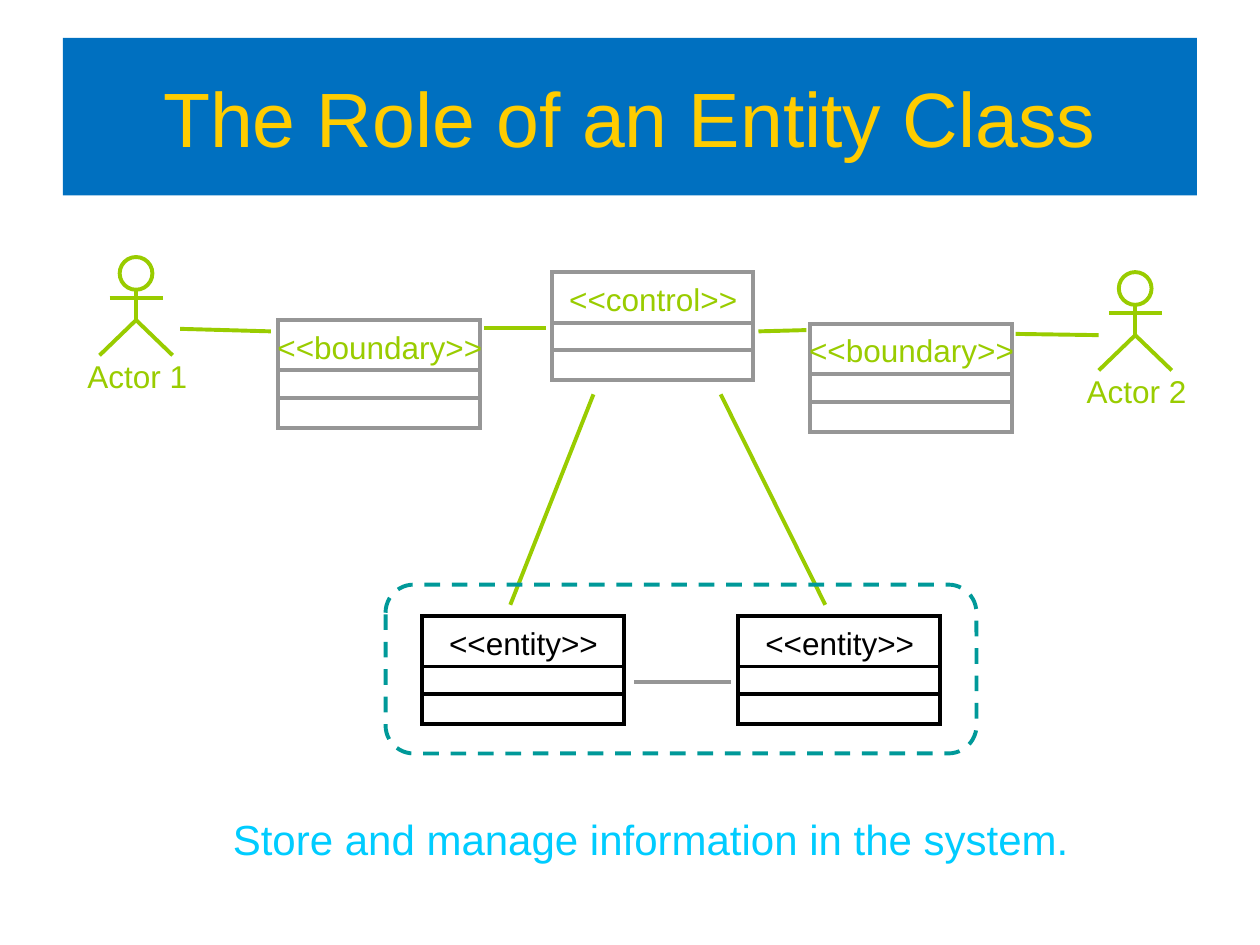
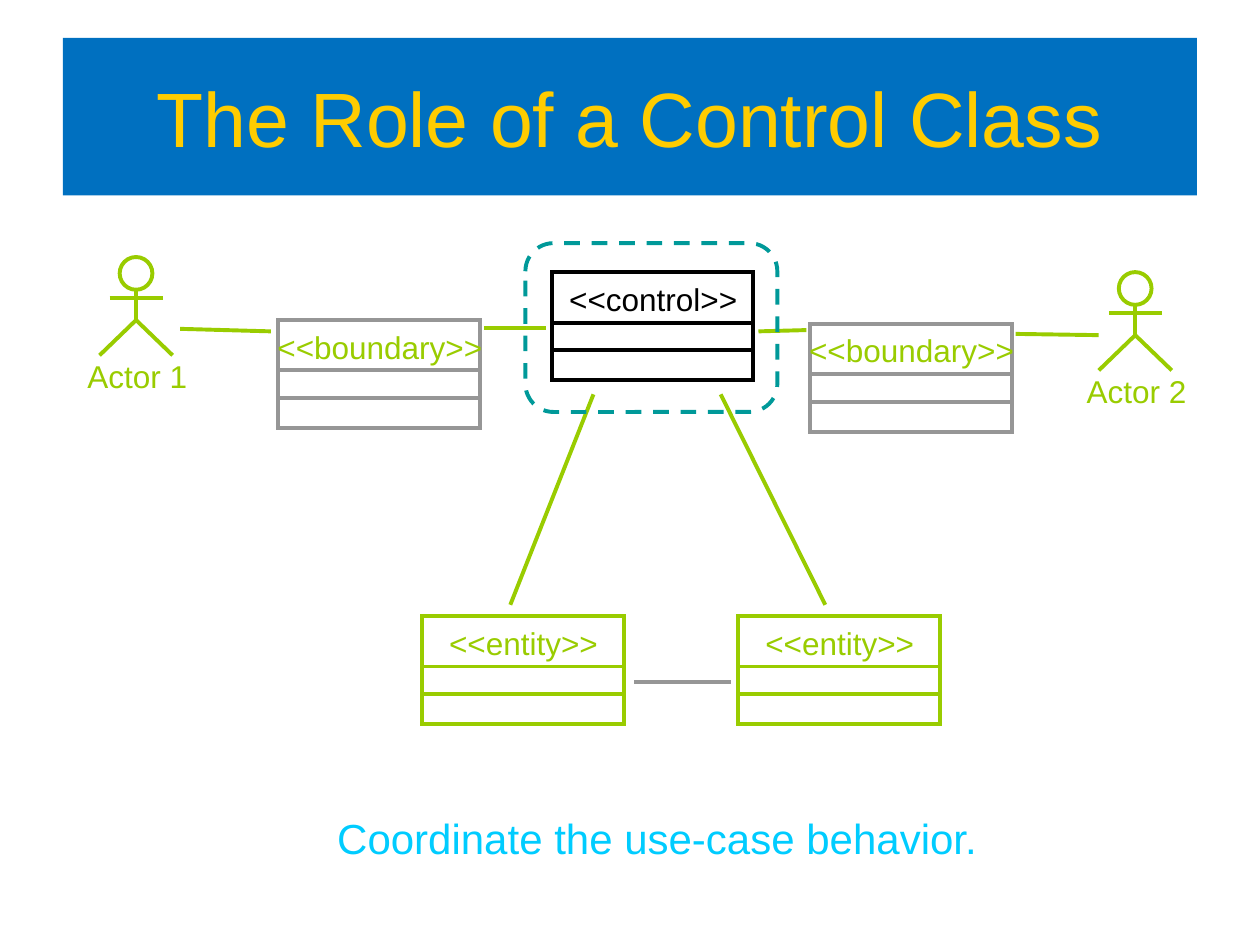
import pptx
import pptx.util
import pptx.dml.color
import pptx.enum.dml
import pptx.enum.shapes
import pptx.enum.text
import pptx.oxml.ns
from lxml import etree
from dataclasses import dataclass

# Content: positions are (column, row) on a grid of 100 x 75 cells
SLIDES = [
    {
        "title": "The Role of an Entity Class",
        "caption": "Store and manage information in the system.",
        "caption_box": (10.8, 64.1, 81.7, 5),
        "styles": {"boundary": "muted", "control": "muted", "entity": "focus"},
        "highlight": (30.6, 46.4, 46.9, 13.4),
    },
    {
        "title": "The Role of a Control Class",
        "caption": "Coordinate the use-case behavior.",
        "caption_box": (25, 64, 54.3, 5),
        "styles": {"boundary": "muted", "control": "focus", "entity": "plain"},
        "highlight": (41.7, 19.3, 20, 13.4),
    },
]
TITLE_BOX = (5, 3, 90, 12.5)

# Name, centre column, top row
ACTORS = [("Actor 1", 10.8, 20.4), ("Actor 2", 90.1, 21.6)]

# Stereotype, left column, top row
CLASSES = [
    ("boundary", 22.1, 25.4),
    ("control", 43.8, 21.6),
    ("boundary", 64.3, 25.7),
    ("entity", 33.5, 48.9),
    ("entity", 58.6, 48.9),
]

# Start, end, colour name
LINKS = [
    ((14.3, 26.1), (21.5, 26.3), "green"),
    ((38.4, 26), (43.3, 26), "green"),
    ((64, 26.2), (60.2, 26.3), "green"),
    ((80.6, 26.5), (87.2, 26.6), "green"),
    ((40.5, 48), (47.1, 31.3), "green"),
    ((57.2, 31.3), (65.5, 48), "green"),
    ((58, 54.1), (50.3, 54.1), "grey"),
]


# Theme
@dataclass(frozen=True)
class Theme:
    font: str = "Arial"
    band: str = "0070C0"
    title: str = "FFCC00"
    caption: str = "00CCFF"
    green: str = "99CC00"
    grey: str = "969696"
    black: str = "000000"
    highlight: str = "009999"
    title_size: int = 44
    caption_size: int = 24
    label_size: int = 18
    line_width: float = 2.25


THEME = Theme()
# Outline colour, label colour
CLASS_STYLES = {
    "muted": (THEME.grey, THEME.green),
    "plain": (THEME.green, THEME.green),
    "focus": (THEME.black, THEME.black),
}
CLASS_SIZE = (16, 8.6)
CLASS_DIVIDERS = (4, 6.2)
CLASS_LABEL_WIDTH = 18
ACTOR_LABEL_WIDTH = 10
LABEL_HEIGHT = 3
HEAD = 2.6

SHAPE = pptx.enum.shapes.MSO_SHAPE
qn = pptx.oxml.ns.qn
prs = pptx.Presentation()
prs.slide_width = pptx.util.Inches(10)
prs.slide_height = pptx.util.Inches(7.5)
CELL = prs.slide_width / 100


def grid(*cells):
    return [pptx.util.Emu(round(c * CELL)) for c in cells]


def rgb(color):
    return pptx.dml.color.RGBColor.from_string(color)


def stroke(sp, color):
    sp.line.color.rgb = rgb(color)
    sp.line.width = pptx.util.Pt(THEME.line_width)
    # Square corners
    ln = sp._element.spPr.find(qn("a:ln"))
    etree.SubElement(ln, qn("a:miter"), lim="800000")


def add_outline(shapes, kind, box, color):
    sp = shapes.add_shape(kind, *grid(*box))
    sp.shadow.inherit = False
    sp.fill.background()
    stroke(sp, color)
    return sp


def add_line(shapes, start, end, color):
    line = shapes.add_connector(pptx.enum.shapes.MSO_CONNECTOR.STRAIGHT,
                                *grid(*start, *end))
    stroke(line, color)
    etree.SubElement(line._element.spPr, qn("a:effectLst"))


def add_text(shapes, text, box, *, size, color, fill=None, margins=(0, 0)):
    if fill:
        sp = shapes.add_shape(SHAPE.RECTANGLE, *grid(*box))
        sp.shadow.inherit = False
        sp.fill.solid()
        sp.fill.fore_color.rgb = rgb(fill)
        sp.line.fill.background()
    else:
        sp = shapes.add_textbox(*grid(*box))
    tf = sp.text_frame
    tf.word_wrap = True
    tf.margin_left = tf.margin_right = pptx.util.Inches(margins[0])
    tf.margin_top = tf.margin_bottom = pptx.util.Inches(margins[1])
    tf.vertical_anchor = pptx.enum.text.MSO_ANCHOR.MIDDLE
    p = tf.paragraphs[0]
    p.alignment = pptx.enum.text.PP_ALIGN.CENTER
    r = p.add_run()
    r.text = text
    r.font.name = THEME.font
    r.font.size = pptx.util.Pt(size)
    r.font.color.rgb = rgb(color)


def add_label(s, text, center, top, width, color):
    add_text(s.shapes, text, (center - width / 2, top, width, LABEL_HEIGHT),
             size=THEME.label_size, color=color)


def add_actor(s, name, x, y):
    shapes = s.shapes.add_group_shape().shapes
    hip = y + 5
    add_outline(shapes, SHAPE.OVAL, (x - HEAD / 2, y, HEAD, HEAD), THEME.green)
    add_line(shapes, (x, y + HEAD), (x, hip), THEME.green)
    add_line(shapes, (x - 2.1, y + 3.25), (x + 2.1, y + 3.25), THEME.green)
    # Legs
    left, top, right, foot = grid(x - 2.9, hip, x + 2.9, hip + 2.8)
    builder = shapes.build_freeform(left, foot)
    builder.add_line_segments([((left + right) // 2, top), (right, foot)],
                              close=False)
    legs = builder.convert_to_shape()
    legs.shadow.inherit = False
    legs.fill.background()
    stroke(legs, THEME.green)
    add_label(s, name, x + 0.1, y + 7.95, ACTOR_LABEL_WIDTH, THEME.green)


def add_class(s, stereotype, x, y, style):
    outline, label = CLASS_STYLES[style]
    width, height = CLASS_SIZE
    shapes = s.shapes.add_group_shape().shapes
    add_outline(shapes, SHAPE.RECTANGLE, (x, y, width, height), outline)
    for row in CLASS_DIVIDERS:
        add_line(shapes, (x, y + row), (x + width, y + row), outline)
    add_label(s, f"<<{stereotype}>>", x + width / 2 + 0.05, y + 0.6,
              CLASS_LABEL_WIDTH, label)


def add_role_slide(content):
    s = prs.slides.add_slide(prs.slide_layouts[6])
    # Title band and caption
    add_text(s.shapes, content["title"], TITLE_BOX, size=THEME.title_size,
             color=THEME.title, fill=THEME.band, margins=(0.1, 0.05))
    add_text(s.shapes, content["caption"], content["caption_box"],
             size=THEME.caption_size, color=THEME.caption, margins=(0.1, 0.05))
    # Diagram
    for actor in ACTORS:
        add_actor(s, *actor)
    for start, end, color in LINKS:
        add_line(s.shapes, start, end, getattr(THEME, color))
    for stereotype, x, y in CLASSES:
        add_class(s, stereotype, x, y, content["styles"][stereotype])
    # Dashed frame around the classes in focus
    frame = add_outline(s.shapes, SHAPE.ROUNDED_RECTANGLE,
                        content["highlight"], THEME.highlight)
    frame.line.dash_style = pptx.enum.dml.MSO_LINE.DASH


for content in SLIDES:
    add_role_slide(content)
prs.save("out.pptx")
